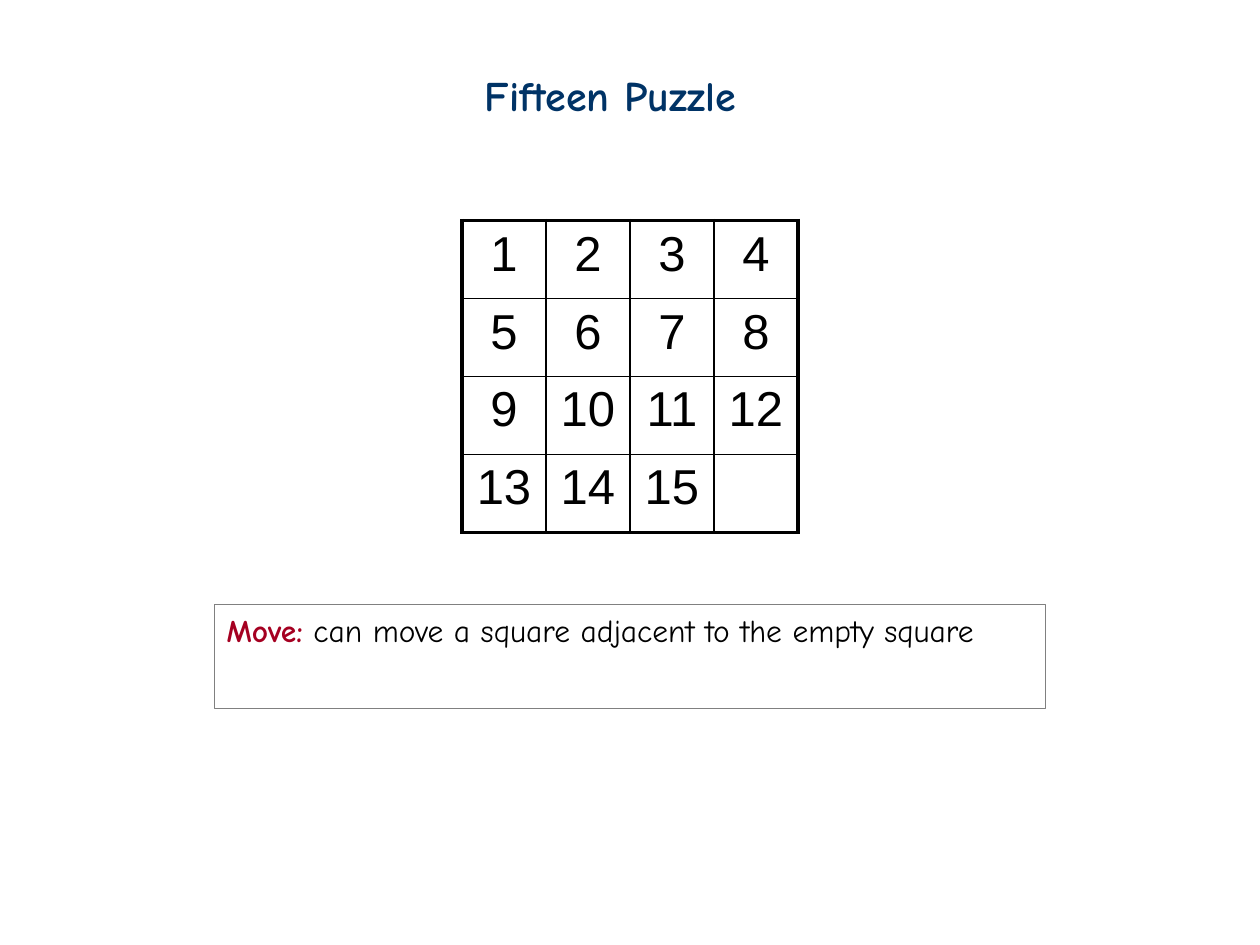
from lxml.etree import SubElement
from pptx import Presentation
from pptx.dml.color import RGBColor
from pptx.enum.shapes import MSO_SHAPE
from pptx.enum.text import MSO_ANCHOR, PP_ALIGN
from pptx.oxml.ns import qn
from pptx.util import Inches, Pt

COLORS = {"title": "003366", "accent": "A50021", "ink": "000000", "frame": "808080"}
HEADING_FONT, NUMBER_FONT = "Comic Neue", "Arial"
WIDTH, HEIGHT = Inches(10), Inches(7.5)
SIDE = 4


def share(left, top, width, height):
    """Turn shares of the slide's size into a box of lengths."""
    return (round(left * WIDTH), round(top * HEIGHT),
            round(width * WIDTH), round(height * HEIGHT))


def add_text(para, text, *, size, font=HEADING_FONT, color="ink", bold=False):
    span = para.add_run()
    span.text = text
    span.font.size = Pt(size)
    span.font.name = font
    span.font.bold = bold
    span.font.color.rgb = RGBColor.from_string(COLORS[color])


def set_border(cell, edge, points):
    line = SubElement(cell._tc.get_or_add_tcPr(), qn(f"a:{edge}"), w=str(Pt(points)))
    fill = SubElement(line, qn("a:solidFill"))
    SubElement(fill, qn("a:srgbClr"), val=COLORS["ink"])


def add_title(page, box):
    frame = page.shapes.add_textbox(*box).text_frame
    frame.word_wrap = True
    add_text(frame.paragraphs[0], "Fifteen Puzzle", size=24, color="title", bold=True)


def add_puzzle(page, box):
    table = page.shapes.add_table(SIDE, SIDE, *box).table
    table.first_row = table.horz_banding = False
    for index, cell in enumerate(table.iter_cells()):
        row, column = divmod(index, SIDE)
        outer = {"lnL": column == 0, "lnR": column == SIDE - 1,
                 "lnT": row == 0, "lnB": row == SIDE - 1}
        for edge, is_outer in outer.items():
            set_border(cell, edge, 2.25 if is_outer else 1)
        cell.fill.background()
        if index < SIDE * SIDE - 1:
            para = cell.text_frame.paragraphs[0]
            para.alignment = PP_ALIGN.CENTER
            add_text(para, str(index + 1), size=28, font=NUMBER_FONT)


def add_rule(page, box):
    panel = page.shapes.add_shape(MSO_SHAPE.RECTANGLE, *box)
    panel.shadow.inherit = False
    panel.fill.background()
    panel.line.color.rgb = RGBColor.from_string(COLORS["frame"])
    panel.line.width = Pt(0.75)
    frame = panel.text_frame
    frame.word_wrap = True
    frame.vertical_anchor = MSO_ANCHOR.TOP
    para = frame.paragraphs[0]
    para.alignment = PP_ALIGN.LEFT
    add_text(para, "Move:", size=18, color="accent", bold=True)
    add_text(para, " can move a square adjacent to the empty square", size=18)


def main():
    deck = Presentation()
    deck.slide_width, deck.slide_height = WIDTH, HEIGHT
    page = deck.slides.add_slide(deck.slide_layouts[6])
    add_title(page, share(0.375, 1 / 15, 0.25, 1 / 15))
    add_puzzle(page, share(11 / 30, 7 / 30, 4 / 15, 0.33))
    add_rule(page, share(0.17, 0.64, 0.66, 0.11))
    deck.save("out.pptx")


if __name__ == "__main__":
    main()
